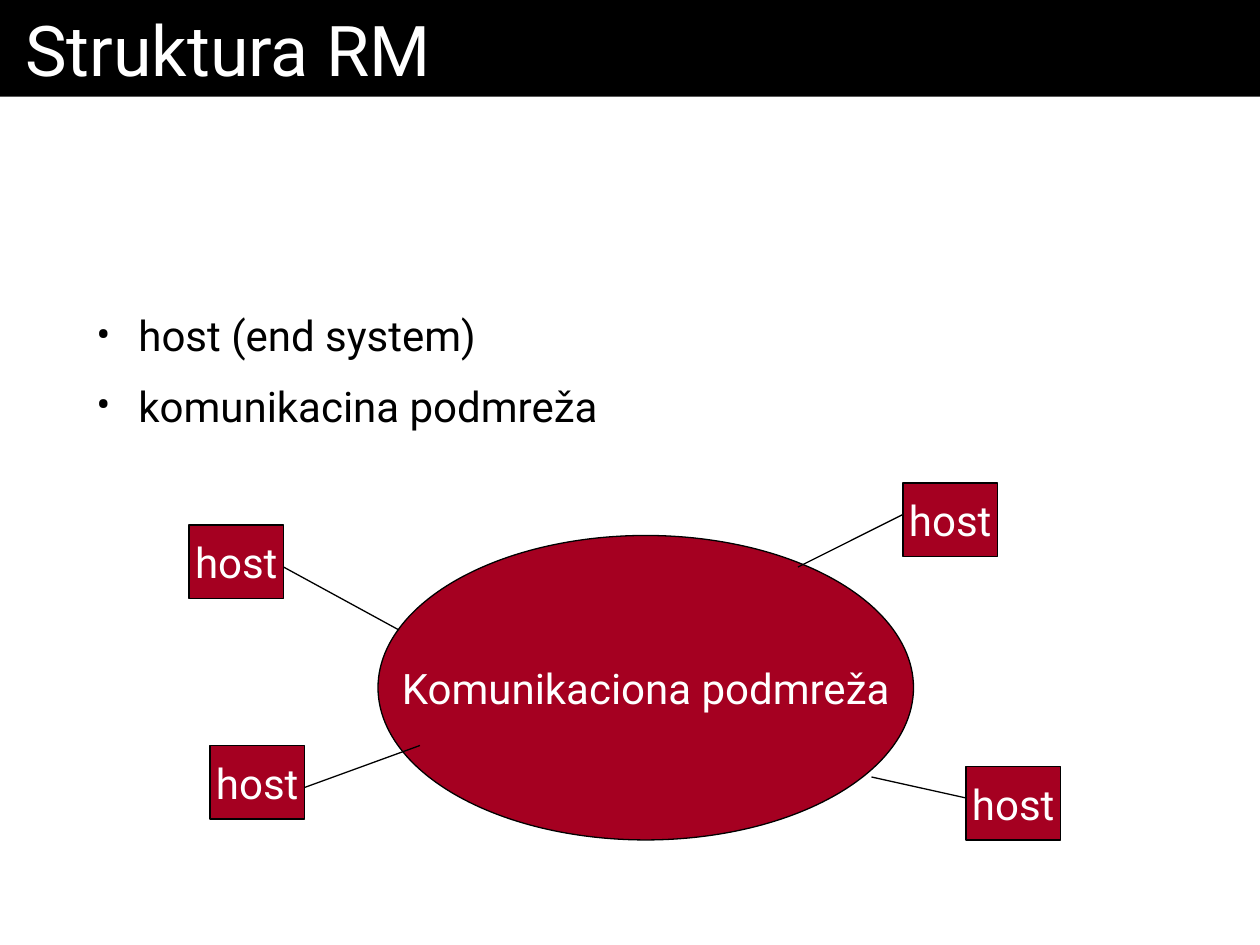
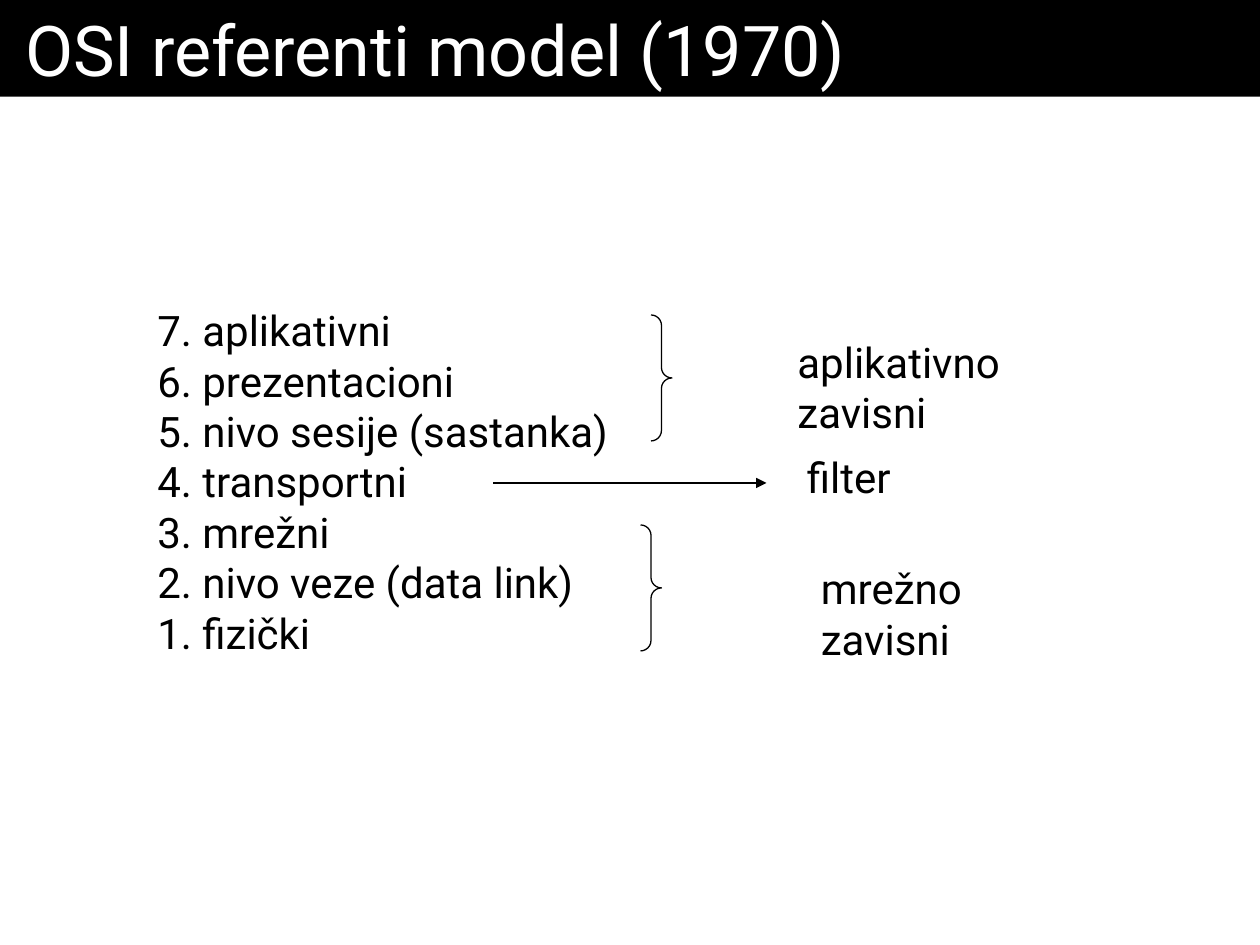
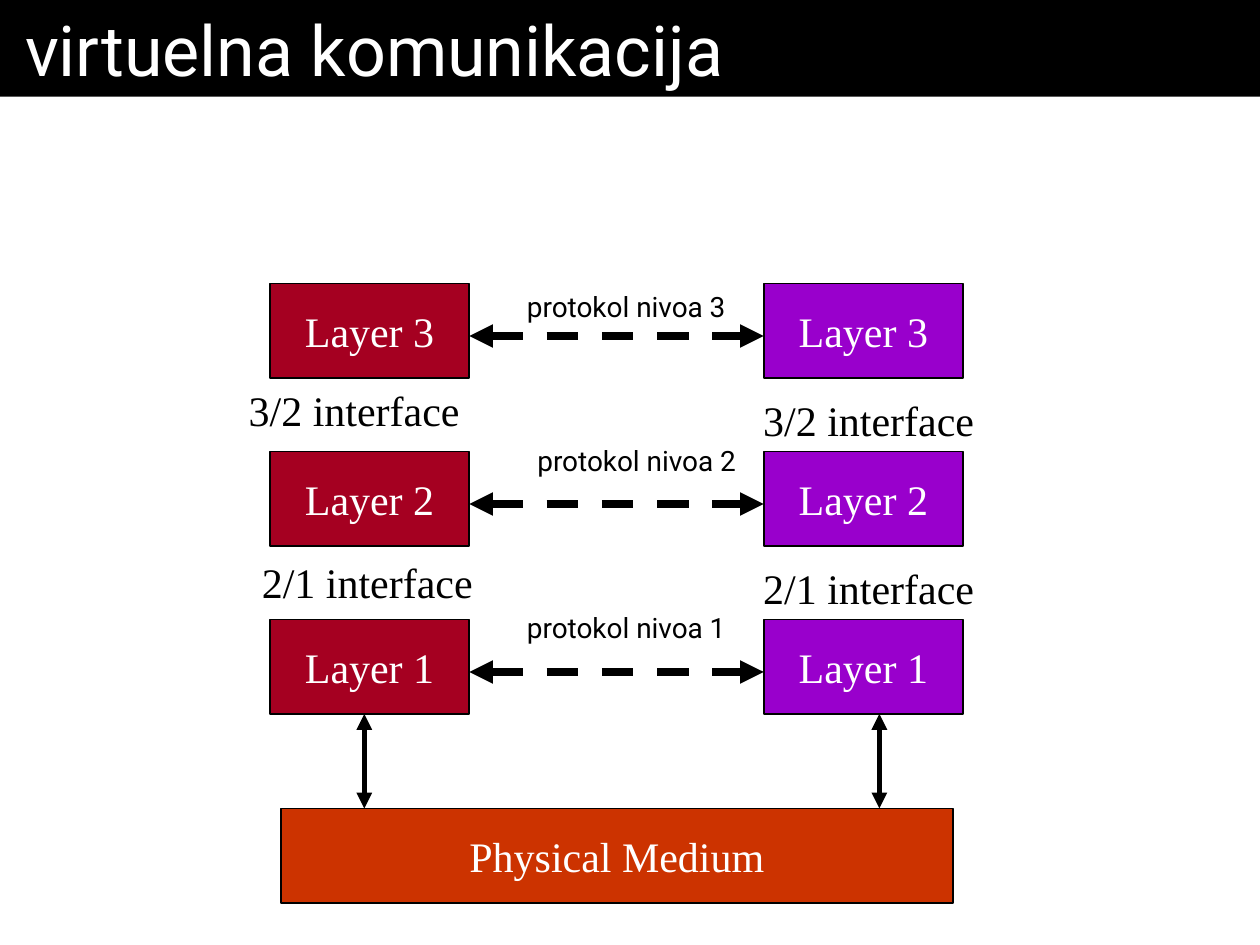
"""Build three slides on network structure, the OSI model and virtual communication."""
from dataclasses import dataclass
from typing import NamedTuple

from pptx import Presentation
from pptx.dml.color import RGBColor as Rgb
from pptx.enum.dml import MSO_LINE as Dash
from pptx.enum.shapes import MSO_CONNECTOR as Conn, MSO_SHAPE as Kind
from pptx.enum.text import MSO_ANCHOR as Anchor, PP_ALIGN as Align
from pptx.oxml.ns import qn
from pptx.oxml.xmlchemy import OxmlElement as Node
from pptx.util import Pt


@dataclass(frozen=True)
class Theme:
    black: Rgb = Rgb.from_string("000000")
    white: Rgb = Rgb.from_string("FFFFFF")
    red: Rgb = Rgb.from_string("A50021")
    purple: Rgb = Rgb.from_string("9900CC")
    orange: Rgb = Rgb.from_string("CC3300")
    sans: str = "Roboto"
    serif: str = "Times New Roman"
    head: float = 40
    body: float = 24
    small: float = 16
    thin: float = 0.75


T = Theme()


class Area(NamedTuple):
    x: float
    y: float
    w: float
    h: float

    def emu(self) -> list:
        return [Pt(side) for side in self]


@dataclass(frozen=True)
class Style:
    font: str = T.sans
    size: float = T.body
    color: Rgb = T.black


@dataclass(frozen=True)
class Block:
    area: Area
    text: str
    fill: Rgb = T.red
    kind: Kind = Kind.RECTANGLE
    font: str = T.sans
    edge: float = T.thin


@dataclass(frozen=True)
class Label:
    area: Area
    lines: tuple
    style: Style = Style()
    wrap: bool = False
    bullet: bool = False


@dataclass(frozen=True)
class Link:
    x1: float
    y1: float
    x2: float
    y2: float
    width: float = T.thin
    ends: tuple = ()
    dash: bool = False


def add_run(para, text: str, style: Style) -> None:
    run = para.add_run()
    run.text = text
    run.font.name = style.font
    run.font.size = Pt(style.size)
    run.font.color.rgb = style.color


def add_bullet(para) -> None:
    para.space_after = Pt(11.5)
    props = para._p.get_or_add_pPr()
    props.set("marL", str(Pt(42)))
    props.set("indent", str(Pt(-24)))
    for tag, key, value in (("buFont", "typeface", T.sans), ("buChar", "char", "•")):
        mark = Node(f"a:{tag}")
        mark.set(key, value)
        props.append(mark)


def draw_block(slide, block: Block) -> None:
    shape = slide.shapes.add_shape(block.kind, *block.area.emu())
    shape.shadow.inherit = False
    shape.fill.solid()
    shape.fill.fore_color.rgb = block.fill
    shape.line.color.rgb = T.black
    shape.line.width = Pt(block.edge)
    frame = shape.text_frame
    frame.word_wrap = False
    frame.vertical_anchor = Anchor.MIDDLE
    para = frame.paragraphs[0]
    para.alignment = Align.CENTER
    add_run(para, block.text, Style(block.font, color=T.white))


def draw_label(slide, label: Label) -> None:
    frame = slide.shapes.add_textbox(*label.area.emu()).text_frame
    frame.word_wrap = label.wrap
    for row, text in enumerate(label.lines):
        para = frame.add_paragraph() if row else frame.paragraphs[0]
        if label.bullet:
            add_bullet(para)
        add_run(para, text, label.style)


def draw_link(slide, link: Link) -> None:
    ends = [Pt(side) for side in (link.x1, link.y1, link.x2, link.y2)]
    line = slide.shapes.add_connector(Conn.STRAIGHT, *ends)
    line.line.color.rgb = T.black
    line.line.width = Pt(link.width)
    if link.dash:
        line.line.dash_style = Dash.DASH
    props = line.element.spPr
    for end in link.ends:
        tip = Node(f"a:{end}End")
        tip.set("type", "triangle")
        props.find(qn("a:ln")).append(tip)
    props.append(Node("a:effectLst"))


def draw_brace(slide, area: Area) -> None:
    brace = slide.shapes.add_shape(Kind.RIGHT_BRACE, *area.emu())
    brace.shadow.inherit = False
    brace.adjustments[0] = 0.5
    brace.fill.background()
    brace.line.color.rgb = T.black
    brace.line.width = Pt(T.thin)


def new_slide(deck, title: str):
    slide = deck.slides.add_slide(deck.slide_layouts[6])
    slide.background.fill.solid()
    slide.background.fill.fore_color.rgb = T.white
    band = slide.shapes.add_shape(Kind.RECTANGLE, *Area(0, 0, 720, 55.2).emu())
    band.shadow.inherit = False
    band.fill.solid()
    band.fill.fore_color.rgb = T.black
    band.line.fill.background()
    frame = band.text_frame
    frame.margin_left = frame.margin_right = Pt(14.4)
    frame.vertical_anchor = Anchor.TOP
    frame.paragraphs[0].alignment = Align.LEFT
    add_run(frame.paragraphs[0], title, Style(size=T.head, color=T.white))
    return slide


def add_network(deck) -> None:
    slide = new_slide(deck, "Struktura RM")
    draw_block(slide, Block(Area(216, 306, 306, 174), "Komunikaciona podmreža", kind=Kind.OVAL))
    hosts = (
        (108, 300, Link(162, 324, 228, 360)),
        (120, 426, Link(174, 450, 240, 426)),
        (552, 438, Link(552, 456, 498, 444)),
        (516, 276, Link(516, 294, 456, 324)),
    )
    for x, y, link in hosts:
        draw_block(slide, Block(Area(x, y, 54, 42), "host"))
        draw_link(slide, link)
    parts = ("host (end system)", "komunikacina podmreža")
    draw_label(slide, Label(Area(30, 173.5, 588, 79), parts, wrap=True, bullet=True))


def add_model(deck) -> None:
    slide = new_slide(deck, "OSI referenti model (1970)")
    levels = (
        "7. aplikativni",
        "6. prezentacioni",
        "5. nivo sesije (sastanka)",
        "4. transportni",
        "3. mrežni",
        "2. nivo veze (data link)",
        "1. fizički",
    )
    draw_label(slide, Label(Area(82.8, 170.6, 547, 209), levels, wrap=True))
    for x, y in ((372, 180), (366, 300)):
        draw_brace(slide, Area(x, y, 12, 72))
    draw_label(slide, Label(Area(448.6, 188.5, 200, 36), ("aplikativno zavisni",), wrap=True))
    draw_label(slide, Label(Area(462, 318, 165, 36), ("mrežno zavisni",), wrap=True))
    draw_label(slide, Label(Area(454, 254.7, 64, 36), ("filter",)))
    draw_link(slide, Link(282, 276, 438, 276, ends=("tail",)))


def add_layers(deck) -> None:
    slide = new_slide(deck, "virtuelna komunikacija")
    left, right, top, step = 154.2, 436.4, 162, 96
    wide, high, base = 114, 54, 462
    both = ("head", "tail")
    for x, fill in ((left, T.red), (right, T.purple)):
        for row in range(3):
            area = Area(x, top + row * step, wide, high)
            draw_block(slide, Block(area, f"Layer {3 - row}", fill, font=T.serif, edge=1))
    faces = (
        (135, 216, "3/2"),
        (142.5, 314.5, "2/1"),
        (429, 222, "3/2"),
        (429, 318, "2/1"),
    )
    for x, y, pair in faces:
        draw_label(slide, Label(Area(x, y, 140, 36), (f"{pair} interface",), Style(T.serif), True))
    medium = Area(160.5, base, 384, high)
    draw_block(slide, Block(medium, "Physical Medium", T.orange, font=T.serif, edge=1))
    for x in (208.2, 502.5):
        draw_link(slide, Link(x, top + 2 * step + high, x, base, 3, both))
    for row, (x, y) in enumerate(((294, 162), (300, 249.7), (294, 345.5))):
        mid = top + row * step + 30
        draw_link(slide, Link(left + wide, mid, right, mid, 4.5, both, True))
        text = f"protokol nivoa {3 - row}"
        draw_label(slide, Label(Area(x, y, 129, 26.5), (text,), Style(size=T.small)))


def main() -> None:
    deck = Presentation()
    deck.slide_width, deck.slide_height = Pt(720), Pt(540)
    for add in (add_network, add_model, add_layers):
        add(deck)
    deck.save("out.pptx")


if __name__ == "__main__":
    main()
